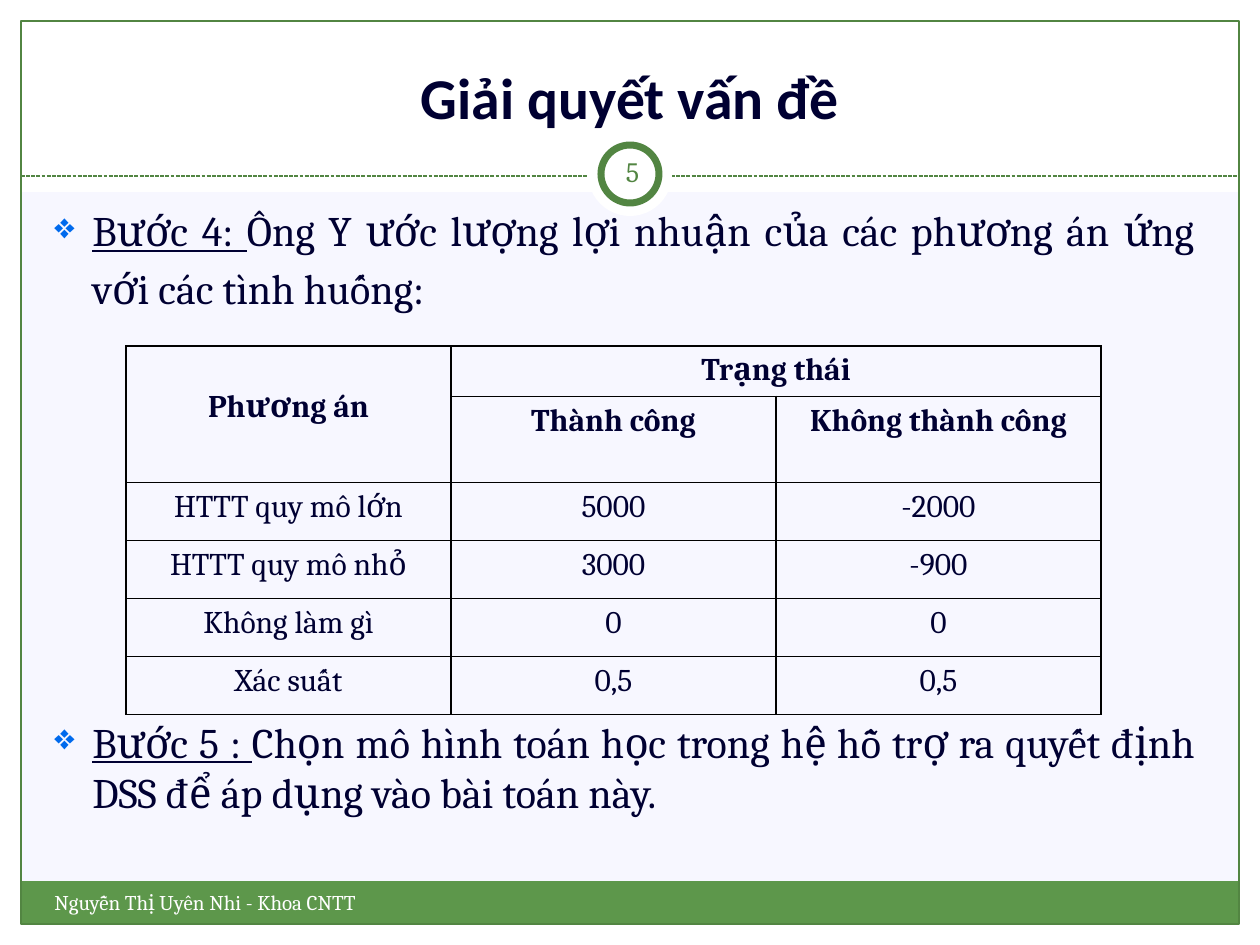
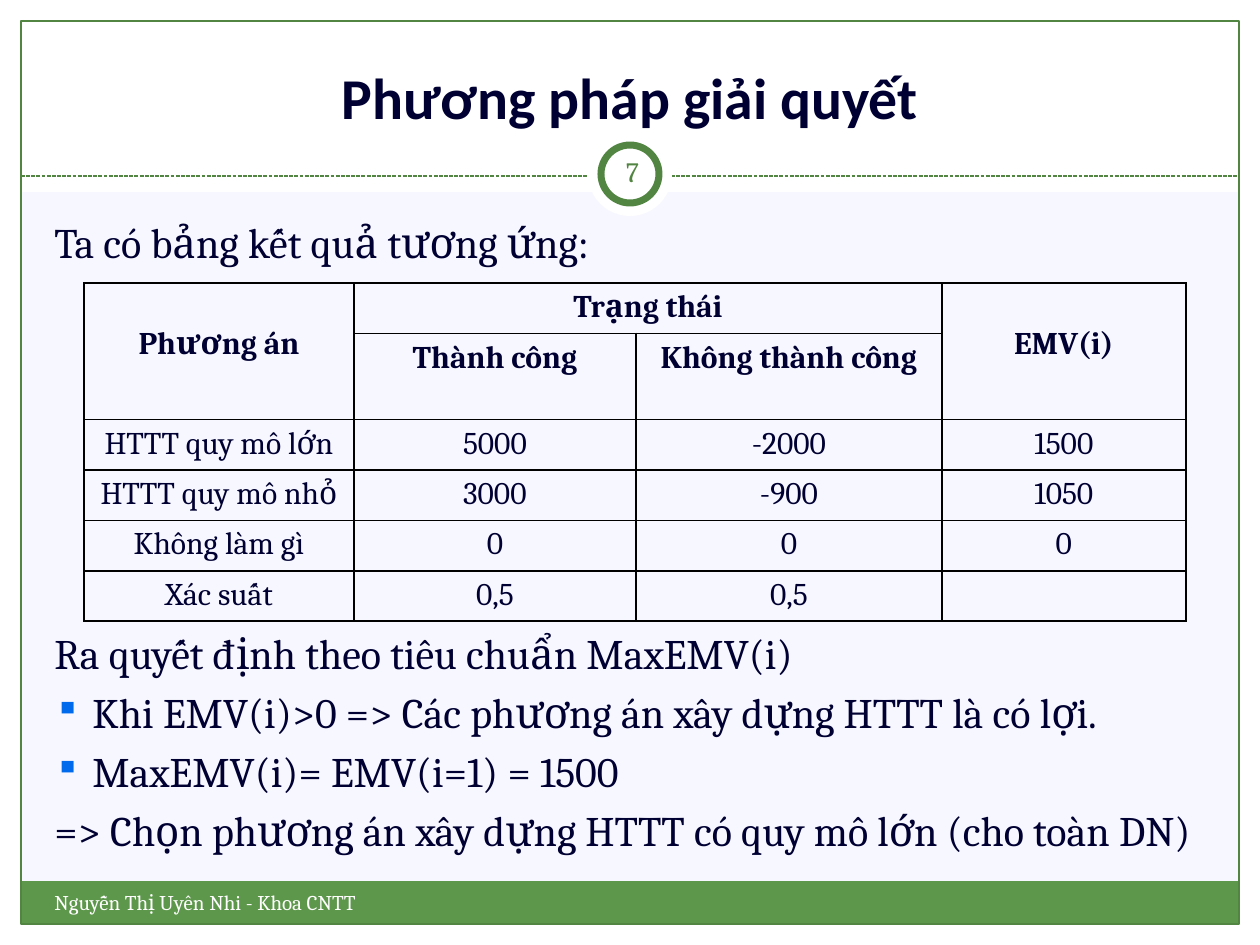
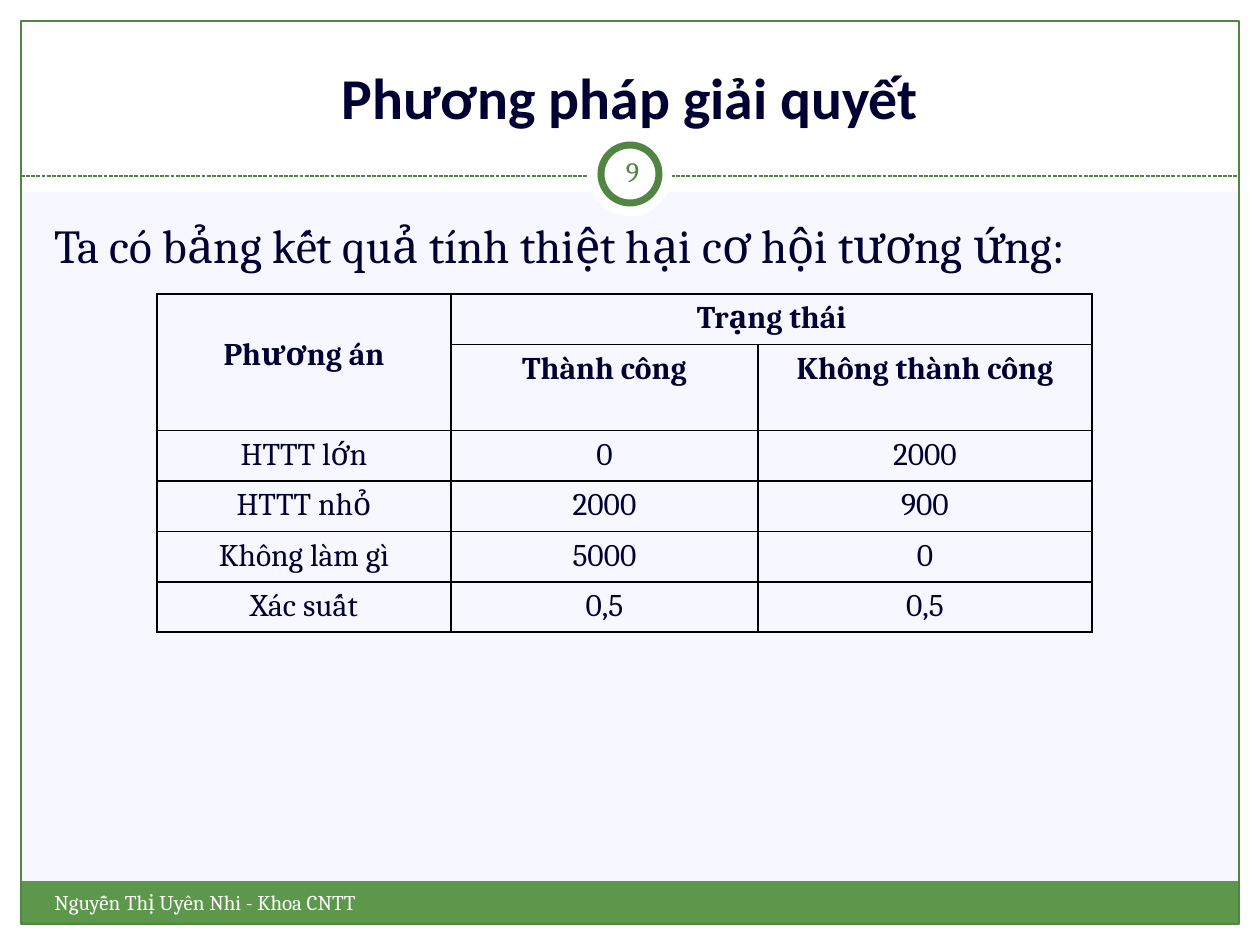
from pptx import Presentation
from pptx.dml.color import RGBColor
from pptx.enum.dml import MSO_LINE
from pptx.enum.shapes import MSO_CONNECTOR, MSO_SHAPE
from pptx.enum.text import MSO_ANCHOR, PP_ALIGN
from pptx.oxml.ns import qn
from pptx.util import Pt
from lxml.etree import SubElement

SCALE = 914400 / 126
PAGE = (0, 0, 1260, 945)
WHITE, PALE, NAVY = "FFFFFF", "F7F7FF", "000032"
GREEN, BAND, BLUE, BLACK = "528542", "5D974B", "006AED", "000000"
HEAD_FONT, BODY_FONT = "Calibri", "Cambria"
INDENT = 38
FOOTER = "Nguyễn Thị Uyên Nhi - Khoa CNTT"
DIAMOND, SQUARE = "❖", "▪"


def px(n):
    return round(n * SCALE)


def rgb(color):
    return RGBColor.from_string(color)


def add_run(p, text, size, color=NAVY, font=BODY_FONT, bold=False, underline=False):
    r = p.add_run()
    r.text = text
    r.font.size, r.font.name = Pt(size), font
    r.font.bold, r.font.underline = bold, underline
    r.font.color.rgb = rgb(color)


def add_panel(s, kind, box, fill=None, line=None, width=0.75):
    sp = s.shapes.add_shape(kind, *map(px, box))
    sp.shadow.inherit = False
    if fill:
        sp.fill.solid()
        sp.fill.fore_color.rgb = rgb(fill)
    else:
        sp.fill.background()
    if line:
        sp.line.color.rgb = rgb(line)
        sp.line.width = Pt(width)
    else:
        sp.line.fill.background()
    return sp


def add_rule(s, x1, x2, y):
    cx = s.shapes.add_connector(MSO_CONNECTOR.STRAIGHT, px(x1), px(y), px(x2), px(y))
    cx.line.color.rgb = rgb(GREEN)
    cx.line.width = Pt(0.75)
    cx.line.dash_style = MSO_LINE.SQUARE_DOT
    SubElement(cx.element.spPr, qn("a:effectLst"))
    return cx


def add_frame(s, box):
    x, y, w, h = box
    edge = 21
    rect, oval = MSO_SHAPE.RECTANGLE, MSO_SHAPE.OVAL
    return [
        add_panel(s, rect, (x, y + h - edge, w, edge), WHITE),
        add_panel(s, rect, (x, y, w, 192), WHITE),
        add_panel(s, rect, (x, y, edge, h), WHITE),
        add_panel(s, rect, (x + w - edge, y, edge, h), WHITE),
        add_panel(s, rect, (x + edge, y + 881, w - 2 * edge, 43), BAND),
        add_panel(s, rect, (x + edge, y + edge, w - 2 * edge, h - 2 * edge), line=GREEN),
        add_rule(s, x + edge, x + w - edge, y + 176),
        add_panel(s, oval, (x + w // 2 - 42, y + 132, 84, 84), WHITE),
        add_panel(s, oval, (x + w // 2 - 29, y + 145, 58, 58), WHITE, GREEN, 4),
    ]


def prepare_layout(layout):
    layout.background.fill.solid()
    layout.background.fill.fore_color.rgb = rgb(PALE)
    for ph in list(layout.placeholders):
        if ph.placeholder_format.idx:
            ph.element.getparent().remove(ph.element)


def move_to_layout(shapes, layout):
    tree = layout.shapes.element
    for i, sp in enumerate(shapes):
        tree.insert(2 + i, sp.element)


def add_text(s, box):
    tf = s.shapes.add_textbox(*map(px, box)).text_frame
    tf.word_wrap = True
    return tf


def add_title(s, box, text):
    title = s.shapes.title
    title.left, title.top, title.width, title.height = map(px, box)
    tf = title.text_frame
    tf.vertical_anchor = MSO_ANCHOR.BOTTOM
    p = tf.paragraphs[0]
    p.alignment = PP_ALIGN.CENTER
    add_run(p, text, 33, font=HEAD_FONT, bold=True)


def add_number(s, box, number):
    tf = add_text(s, box)
    tf.vertical_anchor = MSO_ANCHOR.MIDDLE
    tf.margin_left = tf.margin_right = px(6)
    p = tf.paragraphs[0]
    p.alignment = PP_ALIGN.CENTER
    add_run(p, str(number), 16, GREEN)


def set_bullet(pPr, char):
    color = SubElement(SubElement(pPr, qn("a:buClr")), qn("a:srgbClr"))
    color.set("val", BLUE)
    SubElement(pPr, qn("a:buSzPct")).set("val", "85000")
    SubElement(pPr, qn("a:buChar")).set("char", char)


def add_body(s, box, items, size=24, spacing=None):
    tf = add_text(s, box)
    for i, (bullet, lead, text) in enumerate(items):
        p = tf.add_paragraph() if i else tf.paragraphs[0]
        p.alignment = PP_ALIGN.JUSTIFY
        if spacing:
            p.line_spacing = Pt(spacing)
        if i:
            p.space_before = Pt(5)
        pPr = p._p.get_or_add_pPr()
        pPr.set("marL", str(px(INDENT)))
        pPr.set("indent", str(-px(INDENT)))
        if bullet:
            set_bullet(pPr, bullet)
        if lead:
            add_run(p, lead, size, underline=True)
        add_run(p, text, size)


def set_borders(cell):
    tcPr = cell._tc.get_or_add_tcPr()
    for side in ("lnL", "lnR", "lnT", "lnB"):
        ln = SubElement(tcPr, qn(f"a:{side}"), w=str(Pt(1)))
        SubElement(SubElement(ln, qn("a:solidFill")), qn("a:srgbClr"), val=BLACK)


def add_payoffs(s, left, top, widths, row_height, rows, extra=None):
    head = ["Phương án", "Trạng thái", ""]
    states = ["", "Thành công", "Không thành công"]
    if extra:
        head, states = head + [extra], states + [""]
    grid = [head, states] + rows
    heights = [49, 86] + [row_height] * len(rows)
    box = (left, top, sum(widths), sum(heights))
    frame = s.shapes.add_table(len(grid), len(widths), *map(px, box))
    table = frame.table
    table.first_row = table.horz_banding = False
    for col, width in zip(table.columns, widths):
        col.width = px(width)
    for row, height in zip(table.rows, heights):
        row.height = px(height)
    for r, values in enumerate(grid):
        for c, value in enumerate(values):
            cell = table.cell(r, c)
            set_borders(cell)
            cell.fill.background()
            p = cell.text_frame.paragraphs[0]
            p.alignment = PP_ALIGN.CENTER
            if value:
                add_run(p, value, 18, bold=r < 2)
    table.cell(0, 1).merge(table.cell(0, 2))
    for c in (0, 3)[: len(widths) - 2]:
        cell = table.cell(0, c)
        cell.merge(table.cell(1, c))
        cell.vertical_anchor = MSO_ANCHOR.MIDDLE
        cell.margin_bottom = px(20)


def add_content_slide(prs, layout, title, number, box=PAGE):
    x, y, w, h = box
    s = prs.slides.add_slide(layout)
    if len(prs.slides) == 1:
        move_to_layout(add_frame(s, box), layout)
    add_title(s, (x + 42, y + 32, w - 84, 105), title)
    add_number(s, (x + 601, y + 141, 63, 60), number)
    p = add_text(s, (x + 42, y + 883, 494, 50)).paragraphs[0]
    add_run(p, FOOTER, 12, WHITE)
    return s


def main():
    prs = Presentation()
    prs.slide_width, prs.slide_height = map(px, PAGE[2:])
    layout = prs.slide_layouts[5]
    prepare_layout(layout)
    profits = [
        ["HTTT quy mô lớn", "5000", "-2000"],
        ["HTTT quy mô nhỏ", "3000", "-900"],
        ["Không làm gì", "0", "0"],
        ["Xác suất", "0,5", "0,5"],
    ]
    losses = [
        ["HTTT lớn", "0", "2000"],
        ["HTTT nhỏ", "2000", "900"],
        ["Không làm gì", "5000", "0"],
        ["Xác suất", "0,5", "0,5"],
    ]

    s = add_content_slide(prs, layout, "Giải quyết vấn đề", 5)
    add_body(s, (42, 191, 1165, 130), [
        (DIAMOND, "Bước 4: ", "Ông Y ước lượng lợi nhuận của các phương án "
                              "ứng với các tình huống:"),
    ], spacing=33)
    add_payoffs(s, 126, 346, [325] * 3, 58, profits)
    add_body(s, (42, 710, 1165, 115), [
        (DIAMOND, "Bước 5 : ", "Chọn mô hình toán học trong hệ hỗ trợ ra quyết định "
                               "DSS để áp dụng vào bài toán này."),
    ])

    s = add_content_slide(prs, layout, "Phương pháp giải quyết", 7)
    add_body(s, (42, 210, 1165, 65), [(None, None, "Ta có bảng kết quả tương ứng:")])
    emv = ["1500", "1050", "0", ""]
    add_payoffs(s, 84, 283, [270, 282, 306, 244], 49,
                [row + [value] for row, value in zip(profits, emv)], "EMV(i)")
    add_body(s, (42, 621, 1165, 245), [
        (None, None, "Ra quyết định theo tiêu chuẩn MaxEMV(i)"),
        (SQUARE, None, "Khi EMV(i)>0 => Các phương án xây dựng HTTT là có lợi."),
        (SQUARE, None, "MaxEMV(i)= EMV(i=1) = 1500"),
        (None, None, "=> Chọn phương án xây dựng HTTT có quy mô lớn (cho toàn DN)"),
    ])

    s = add_content_slide(prs, layout, "Phương pháp giải quyết", 9)
    add_body(s, (42, 210, 1172, 70), [
        (None, None, "Ta có bảng kết quả tính thiệt hại cơ hội tương ứng:"),
    ], size=27)
    add_payoffs(s, 157, 294, [294, 307, 334], 49, losses)

    prs.save("out.pptx")


if __name__ == "__main__":
    main()
